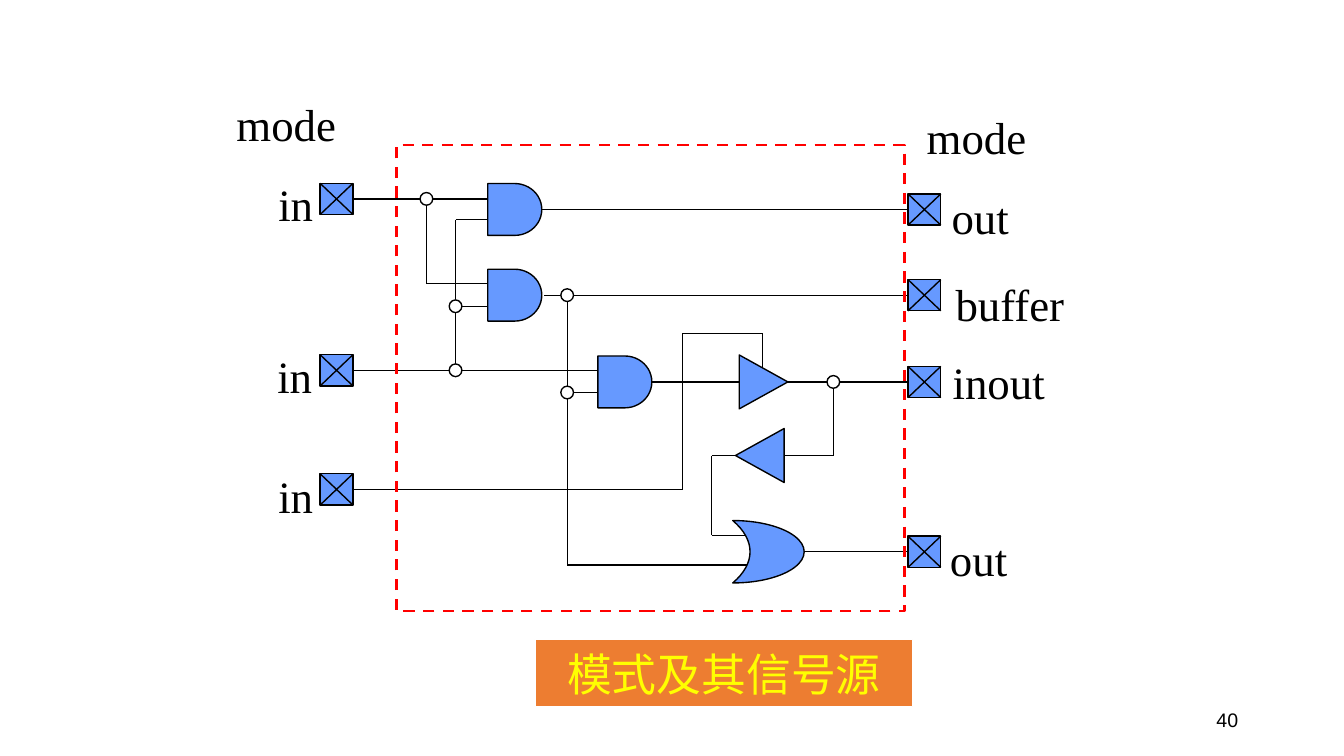
from pptx import Presentation
from pptx.dml.color import RGBColor
from pptx.enum.dml import MSO_LINE as Dash
from pptx.enum.shapes import MSO_CONNECTOR as Conn, MSO_SHAPE as Shp
from pptx.enum.text import MSO_ANCHOR as Anchor, PP_ALIGN as Align
from pptx.oxml.ns import qn
from pptx.util import Cm, Pt
from lxml.etree import SubElement


def color(text):
    return RGBColor.from_string(text)


class Diagram:
    black, white, blue, red = "000000", "FFFFFF", "6699FF", "FF0000"
    font, size, thin = "Times New Roman", 24, 0.75
    pad_w, pad_h, dot_d = 0.62, 0.59, 0.24
    gate_w, gate_h = 1.02, 0.98

    def __init__(self, s):
        self.s = s
        self.shapes = s.shapes

    def start_group(self):
        self.shapes = self.s.shapes.add_group_shape().shapes

    def end_group(self):
        self.shapes = self.s.shapes

    def shape(self, kind, x, y, w, h, fill=blue, line=black, width=thin):
        sp = self.shapes.add_shape(kind, Cm(x), Cm(y), Cm(w), Cm(h))
        sp.shadow.inherit = False
        if fill:
            sp.fill.solid()
            sp.fill.fore_color.rgb = color(fill)
        else:
            sp.fill.background()
        sp.line.color.rgb = color(line)
        sp.line.width = Pt(width)
        return sp

    def line(self, start, end):
        c = self.shapes.add_connector(Conn.STRAIGHT, *map(Cm, start + end))
        c.line.color.rgb = color(self.black)
        c.line.width = Pt(self.thin)
        SubElement(c._element.spPr, qn("a:effectLst"))
        return c

    def wire(self, *points, source=None, target=None):
        parts = [self.line(a, b) for a, b in zip(points, points[1:])]
        if source is not None:
            parts[0].begin_connect(source, 3)
        if target is not None:
            parts[-1].end_connect(target, 1)

    def pad(self, x, cy):
        top, right, bottom = cy - self.pad_h / 2, x + self.pad_w, cy + self.pad_h / 2
        sp = self.shape(Shp.RECTANGLE, x, top, self.pad_w, self.pad_h)
        self.line((x, top), (right, bottom))
        self.line((right, top), (x, bottom))
        return sp

    def and_gate(self, x, cy):
        self.shape(Shp.FLOWCHART_DELAY, x, cy - self.gate_h / 2, self.gate_w, self.gate_h)

    def or_gate(self, x, y, w, h):
        sp = self.shape(Shp.MOON, x, y, w, h)
        sp.adjustments[0] = 0.758
        sp._element.spPr.get_or_add_xfrm().set("flipH", "1")

    def driver(self, cx, cy, rotation):
        w, h = self.gate_w, 0.92
        self.shape(Shp.ISOSCELES_TRIANGLE, cx - w / 2, cy - h / 2, w, h).rotation = rotation

    def dot(self, cx, cy):
        d = self.dot_d
        self.shape(Shp.OVAL, cx - d / 2, cy - d / 2, d, d, self.white)

    def text(self, sp, text, **changes):
        style = {"name": self.font, "size": Pt(self.size), "color": self.black,
                 "align": Align.CENTER} | changes
        tf = sp.text_frame
        tf.word_wrap = True
        tf.vertical_anchor = Anchor.MIDDLE
        p = tf.paragraphs[0]
        p.alignment = style.pop("align")
        r = p.add_run()
        r.text = text
        r.font.color.rgb = color(style.pop("color"))
        for key, value in style.items():
            setattr(r.font, key, value)

    def label(self, text, x, y, w, h=1.28, **changes):
        self.text(self.shapes.add_textbox(Cm(x), Cm(y), Cm(w), Cm(h)), text, **changes)


def main():
    prs = Presentation()
    prs.slide_width, prs.slide_height = Cm(25.4), Cm(14.29)
    d = Diagram(prs.slides.add_slide(prs.slide_layouts[6]))
    d.label("40", 17.93, 13.23, 5.72, 0.76, name="Arial", size=Pt(10.5), align=Align.RIGHT)

    d.start_group()
    left, right = 6.05, 17.16
    edge = left + d.pad_w
    in_a, in_b, in_c = 3.76, 7.0, 9.25
    out_a, buffer, inout, out_b = 3.96, 5.58, 7.22, 10.43
    branch_a, branch_b, branch_c, branch_d = 8.06, 8.61, 10.72, 15.75
    gate_x, gate_x2 = 9.22, 11.3
    pad_a, pad_b, pad_c = [d.pad(left, y) for y in (in_a, in_b, in_c)]
    outputs = [(10.24, out_a), (10.29, buffer), (12.32, inout), (15.19, out_b)]
    for x, y in outputs:
        d.wire((x, y), (right, y), target=d.pad(right, y))

    d.wire((edge, in_a), (gate_x, in_a), source=pad_a)
    d.wire((edge, in_b), (gate_x2, in_b), source=pad_b)
    d.wire((edge, in_c), (12.9, in_c), (12.9, 6.3), (14.41, 6.3), (14.41, 6.98), source=pad_c)
    d.wire((branch_a, in_a), (branch_a, 5.36), (gate_x, 5.36))
    d.wire((gate_x, 4.15), (branch_b, 4.15), (branch_b, in_b))
    d.wire((branch_b, 5.79), (gate_x, 5.79))
    d.wire((branch_c, buffer), (branch_c, 10.68), (14.15, 10.68))
    d.wire((branch_c, 7.42), (gate_x2, 7.42))
    d.wire((branch_d, inout), (branch_d, 8.61), (13.45, 8.61), (13.45, 10.12), (14.1, 10.12))

    for x, y in [(gate_x, out_a), (gate_x, buffer), (gate_x2, inout)]:
        d.and_gate(x, y)
    d.or_gate(13.85, 9.84, 1.35, 1.18)
    d.driver(14.43, inout, 90)
    d.driver(14.36, 8.61, 270)
    for x, y in [(branch_a, in_a), (branch_b, 5.79), (branch_b, in_b),
                 (branch_c, buffer), (branch_c, 7.42), (branch_d, inout)]:
        d.dot(x, y)

    for text, x, y, w in [
        ("mode", 3.86, 1.7, 3.1), ("in", 4.95, 3.2, 1.28),
        ("in", 4.93, 6.46, 1.28), ("in", 4.95, 8.72, 1.28),
        ("mode", 17.02, 1.95, 2.87), ("out", 17.7, 3.46, 1.65),
        ("buffer", 17, 5.09, 4.17), ("inout", 17.53, 6.58, 2.69),
        ("out", 17.67, 9.91, 1.65),
    ]:
        d.label(text, x, y, w)
    caption = d.shape(Shp.RECTANGLE, 10.11, 12.09, 7.14, 1.27, "ED7D31", d.white)
    d.text(caption, "模式及其信号源", color="FFFF00")
    d.end_group()

    frame = d.shape(Shp.RECTANGLE, 7.49, 2.74, 9.6, 8.81, None, d.red, 1.5)
    frame.line.dash_style = Dash.DASH
    prs.save("out.pptx")


if __name__ == "__main__":
    main()
